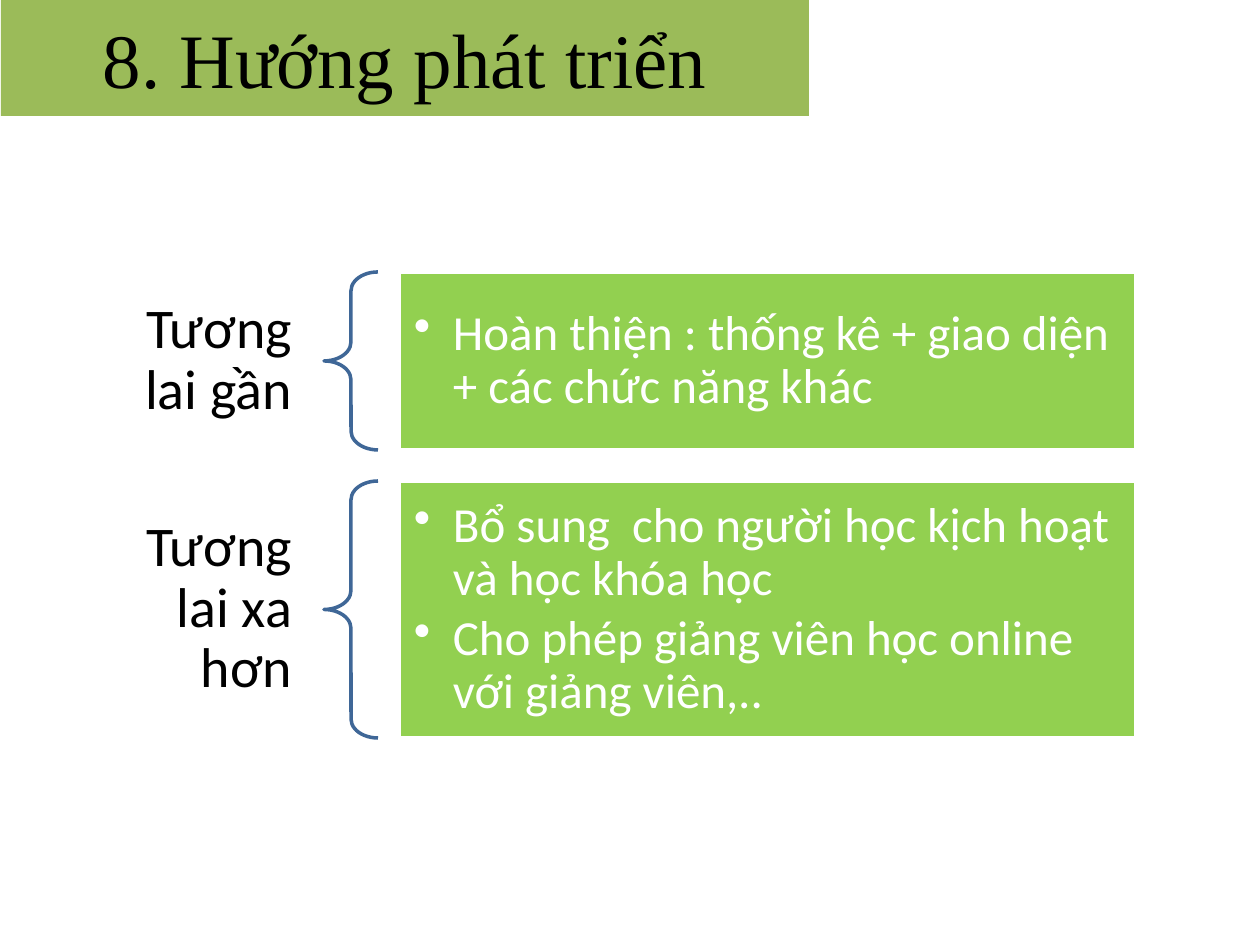
from lxml import etree
from pptx import Presentation
from pptx.dml.color import RGBColor
from pptx.enum.shapes import MSO_SHAPE as Shape
from pptx.enum.text import MSO_ANCHOR as Anchor, PP_ALIGN as Align
from pptx.oxml.ns import qn
from pptx.util import Emu, Pt

EMU_PER_PX = 914400 // 126
BLANK_LAYOUT = 6

LABEL_LEFT, LABEL_WIDTH = 53, 271
BRACE_LEFT, BRACE_WIDTH = 324, 54
BOX_LEFT, BOX_WIDTH = 399, 737

# top, height, label height, label, points
STAGES = [
    (272, 178, 178, "Tương lai gần",
     ["Hoàn thiện : thống kê + giao diện + các chức năng khác"]),
    (481, 257, 210, "Tương lai xa hơn",
     ["Bổ sung  cho người học kịch hoạt và học khóa học",
      "Cho phép giảng viên học online với giảng viên,.."]),
]


def px(length):
    return Emu(length * EMU_PER_PX)


def color(value):
    return RGBColor.from_string(value)


class SlideBuilder:
    title_font = "Times New Roman"
    body_font = "Calibri"
    black, white = "000000", "FFFFFF"
    title_fill, box_fill, brace_line = "9BBB59", "92D050", "3F6797"

    def __init__(self, slide):
        self.slide = slide
        self.shapes = slide.shapes

    def start_group(self):
        """Put the elements that follow into one group."""
        self.shapes = self.slide.shapes.add_group_shape().shapes

    def _shape(self, kind, bounds, fill=None, line=None):
        shape = self.shapes.add_shape(kind, *map(px, bounds))
        shape.shadow.inherit = False
        if fill:
            shape.fill.solid()
            shape.fill.fore_color.rgb = color(fill)
        else:
            shape.fill.background()
        if line:
            shape.line.color.rgb = color(line)
            shape.line.width = Pt(2)
        else:
            shape.line.fill.background()
        return shape

    def _frame(self, shape, side, vertical):
        """Set the insets, wrapping and middle anchor of a shape's text."""
        frame = shape.text_frame
        frame.word_wrap = True
        frame.vertical_anchor = Anchor.MIDDLE
        frame.margin_left = frame.margin_right = px(side)
        frame.margin_top = frame.margin_bottom = px(vertical)
        return frame

    def _write(self, paragraph, text, size, font, text_color, align):
        paragraph.alignment = align
        run = paragraph.add_run()
        run.text = text
        run.font.size = Pt(size)
        run.font.name = font
        run.font.color.rgb = color(text_color)

    def _bullet(self, paragraph, indent):
        properties = paragraph._p.get_or_add_pPr()
        properties.set("marL", str(px(indent)))
        properties.set("indent", str(-px(indent)))
        etree.SubElement(properties, qn("a:buChar")).set("char", "•")

    def title(self, text, bounds):
        shape = self._shape(Shape.RECTANGLE, bounds, self.title_fill)
        frame = self._frame(shape, 13, 6)
        self._write(frame.paragraphs[0], text, 44, self.title_font,
                    self.black, Align.CENTER)

    def label(self, text, bounds):
        frame = self._frame(self.shapes.add_textbox(*map(px, bounds)), 32, 11)
        paragraph = frame.paragraphs[0]
        paragraph.line_spacing = 0.9
        self._write(paragraph, text, 32, self.body_font, self.black, Align.RIGHT)

    def brace(self, bounds):
        brace = self._shape(Shape.LEFT_BRACE, bounds, line=self.brace_line)
        brace.adjustments[0] = 0.35
        brace.adjustments[1] = 0.5

    def bullet_box(self, points, bounds):
        shape = self._shape(Shape.RECTANGLE, bounds, self.box_fill, self.white)
        frame = self._frame(shape, 15, 15)
        for index, point in enumerate(points):
            paragraph = frame.add_paragraph() if index else frame.paragraphs[0]
            paragraph.line_spacing = 0.9
            paragraph.space_after = Pt(4)
            self._bullet(paragraph, 39)
            self._write(paragraph, point, 28, self.body_font, self.white, Align.LEFT)


def main():
    presentation = Presentation()
    presentation.slide_width, presentation.slide_height = px(1260), px(945)
    layout = presentation.slide_layouts[BLANK_LAYOUT]
    builder = SlideBuilder(presentation.slides.add_slide(layout))

    builder.title("8. Hướng phát triển", (1, 0, 808, 116))
    builder.start_group()
    for top, height, label_height, label, points in STAGES:
        label_top = top + (height - label_height) // 2
        builder.label(label, (LABEL_LEFT, label_top, LABEL_WIDTH, label_height))
        builder.brace((BRACE_LEFT, top, BRACE_WIDTH, height))
        builder.bullet_box(points, (BOX_LEFT, top, BOX_WIDTH, height))

    presentation.save("out.pptx")


if __name__ == "__main__":
    main()
